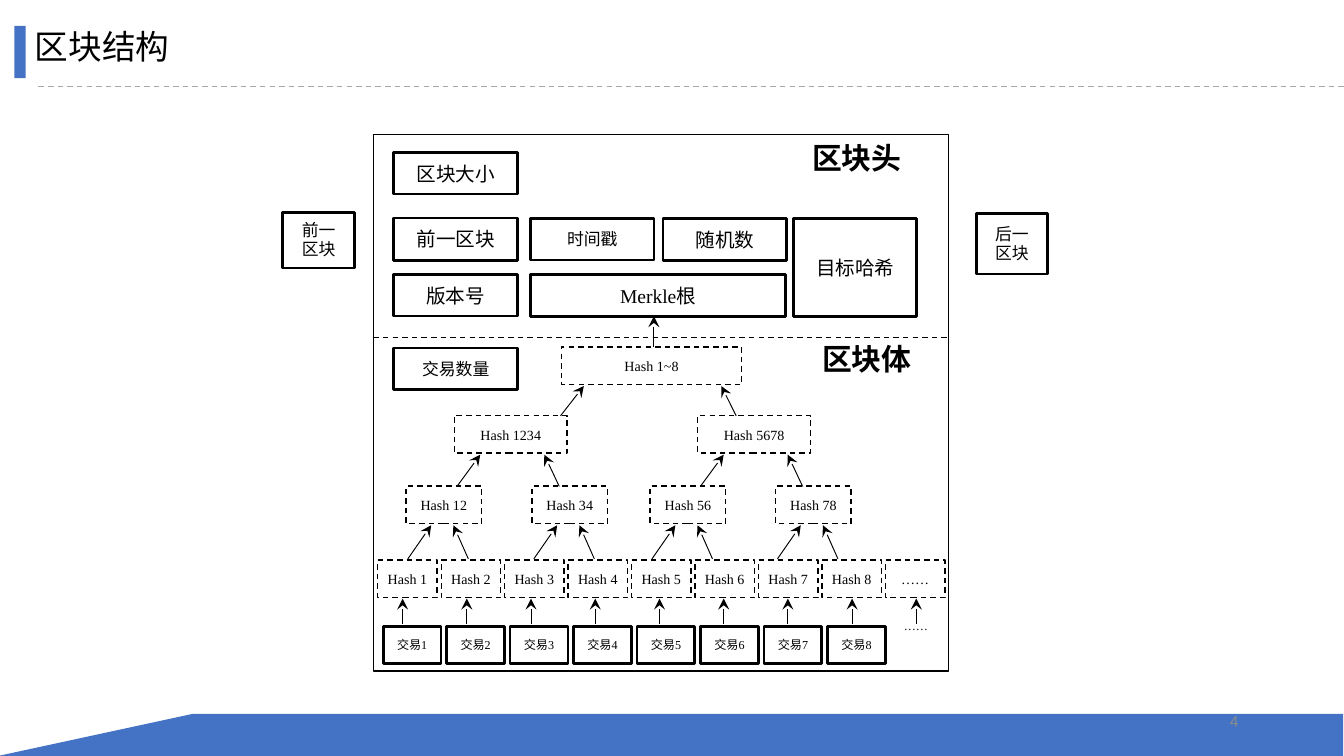
from pptx import Presentation
from pptx.dml.color import RGBColor
from pptx.enum.dml import MSO_LINE
from pptx.enum.shapes import MSO_CONNECTOR, MSO_SHAPE
from pptx.enum.text import MSO_ANCHOR, MSO_AUTO_SIZE, PP_ALIGN
from pptx.oxml.ns import qn
from pptx.util import Pt
from lxml import etree

BLACK = RGBColor(0x00, 0x00, 0x00)
WHITE = RGBColor(0xFF, 0xFF, 0xFF)
BLUE = RGBColor(0x44, 0x72, 0xC4)
GREY = RGBColor(0xA6, 0xA6, 0xA6)
PAGE_GREY = RGBColor(0x8C, 0x8C, 0x8C)
RECTANGLE, STRAIGHT, DASH = MSO_SHAPE.RECTANGLE, MSO_CONNECTOR.STRAIGHT, MSO_LINE.DASH
LEFT, CENTER, RIGHT = PP_ALIGN.LEFT, PP_ALIGN.CENTER, PP_ALIGN.RIGHT
TOP, MIDDLE = MSO_ANCHOR.TOP, MSO_ANCHOR.MIDDLE
SERIF = "Times New Roman"

TITLE = "区块结构"
PAGE_NUMBER = "4"
BLOCK = (200, 72, 308, 287.5)
DIVIDER_Y = 180.9

# text, (left, top, width, height), text size, font, line spacing
FIELDS = [
    ("版本号", (211, 147, 66.2, 22.3), 10.5, SERIF, None),
    ("前一区块", (211, 116.8, 66.2, 22.8), 10.5, SERIF, 12),
    ("时间戳", (284.2, 117, 66.2, 22.3), 9, SERIF, None),
    ("随机数", (355.2, 117.2, 66.2, 22.3), 10.5, SERIF, None),
    ("目标哈希", (425, 117.2, 66.2, 52.5), 10.5, SERIF, None),
    ("Merkle根", (284, 147.2, 137, 22.3), 10.5, SERIF, None),
    ("交易数量", (211, 186.4, 66.2, 22.3), 9, SERIF, None),
    ("区块大小", (211, 81.6, 66.2, 22.3), 10.5, "Calibri", None),
    ("前一\n区块", (151.3, 113.8, 38.8, 29.8), 9, SERIF, 10),
    ("后一\n区块", (523.3, 114.4, 37.7, 32.4), 9, SERIF, 10),
]
HEADINGS = [("区块头", (413.3, 72.7, 91.4, 23.8)), ("区块体", (424, 180.4, 80.6, 23.8))]

HASH_HEIGHT = 20.2
LEAF_COUNT = 8
LEAF_TOP, LEAF_LEFT, LEAF_STEP = 300, 202.4, 34
TRADE_TOP, TRADE_LEFT = 335.8, 205.3
UP_LEFT, UP_STEP = 215.7, 34.4

# Per tree level: top, box width, top of children, start offsets of the left and right arrows
LEVELS = [
    (dict(top=260.4, width=40.5, child_top=299.4, left=1, right=33.4),
     [("Hash 12", 217.5), ("Hash 34", 285), ("Hash 56", 348.3), ("Hash 78", 415.5)]),
    (dict(top=222.6, width=60.5, child_top=260.6, left=1.4, right=56.2),
     [("Hash 1234", 243.4), ("Hash 5678", 373.8)]),
    (dict(top=185.8, width=96.5, child_top=222.8, left=-0.5, right=93.6),
     [("Hash 1~8", 300.8)]),
]


def write(shape, text, size, font=SERIF, color=BLACK, bold=False, align=CENTER,
          anchor=MIDDLE, inset=(0, 0), spacing=None):
    frame = shape.text_frame
    across, down = map(Pt, inset)
    settings = dict(word_wrap=True, auto_size=MSO_AUTO_SIZE.NONE, vertical_anchor=anchor,
                    margin_left=across, margin_right=across, margin_top=down, margin_bottom=down)
    for name, value in settings.items():
        setattr(frame, name, value)
    frame.text = text
    for paragraph in frame.paragraphs:
        paragraph.alignment = align
        if spacing:
            paragraph.line_spacing = Pt(spacing)
        for span in paragraph.runs:
            for name, value in dict(size=Pt(size), name=font, bold=bold).items():
                setattr(span.font, name, value)
            span.font.color.rgb = color


def add_label(page, text, place, size, **style):
    box = page.shapes.add_textbox(*map(Pt, place))
    write(box, text, size, **style)


def add_box(page, place, fill=WHITE, line_width=None, dashed=False):
    box = page.shapes.add_shape(RECTANGLE, *map(Pt, place))
    box.shadow.inherit = False
    box.fill.solid()
    box.fill.fore_color.rgb = fill
    if line_width is None:
        box.line.fill.background()
    else:
        box.line.color.rgb = BLACK
        box.line.width = Pt(line_width)
    if dashed:
        box.line.dash_style = DASH
    return box


def add_hash(page, text, left, top, width):
    box = add_box(page, (left, top, width, HASH_HEIGHT), line_width=0.75, dashed=True)
    write(box, text, 7.5)


def add_line(page, ends, color=BLACK, width=0.75, dashed=False, arrow=False):
    line = page.shapes.add_connector(STRAIGHT, *map(Pt, ends))
    line.line.color.rgb = color
    line.line.width = Pt(width)
    if dashed:
        line.line.dash_style = DASH
    if arrow:
        etree.SubElement(line.line._get_or_add_ln(), qn("a:tailEnd"), type="stealth")
    etree.SubElement(line._element.spPr, qn("a:effectLst"))


def add_arrow(page, *ends):
    add_line(page, ends, width=0.5, arrow=True)


def add_frame(page):
    """Title, its marker and rule, the footer band and the page number."""
    title = page.shapes.title
    title.left, title.top, title.width, title.height = map(Pt, (11.5, 10.1, 685.4, 28.8))
    write(title, TITLE, 18, font="Arial", align=LEFT, anchor=TOP, inset=(7.2, 3.6))
    add_line(page, (20.6, 46.4, 720, 46.4), color=GREY, dashed=True)
    add_box(page, (7.7, 13.9, 6.1, 28), fill=BLUE)
    corners = [(103.5, 382.4), (719.5, 382.4), (719.5, 405), (-1, 405)]
    points = [(Pt(x), Pt(y)) for x, y in corners]
    builder = page.shapes.build_freeform(*points[0])
    builder.add_line_segments(points[1:], close=True)
    band = builder.convert_to_shape()
    band.shadow.inherit = False
    band.fill.solid()
    band.fill.fore_color.rgb = BLUE
    band.line.fill.background()
    add_label(page, PAGE_NUMBER, (508.5, 375.3, 162, 21.6), 9, font="Calibri",
              color=PAGE_GREY, align=RIGHT, inset=(7.2, 3.6))


def add_tree(page):
    for i in range(LEAF_COUNT + 1):
        last = i == LEAF_COUNT
        add_hash(page, "……" if last else f"Hash {i + 1}",
                 LEAF_LEFT + i * LEAF_STEP, LEAF_TOP, 31.8)
        if last:
            add_label(page, "……", (475.2, 325.5, 31, 19.6), 6.5)
        else:
            box = add_box(page, (TRADE_LEFT + i * LEAF_STEP, TRADE_TOP, 31, 19.6),
                          line_width=1.5)
            write(box, f"交易{i + 1}", 6.5)
        x = UP_LEFT + i * UP_STEP
        add_arrow(page, x, 334.2, x, 320.7)
    for level, nodes in LEVELS:
        arrow_end = level["top"] + HASH_HEIGHT + 0.8
        for text, left in nodes:
            add_hash(page, text, left, level["top"], level["width"])
            for side, shift in (("left", 12.5), ("right", -8)):
                x = left + level[side]
                add_arrow(page, x, level["child_top"], x + shift, arrow_end)
    add_arrow(page, 350.3, 185.8, 350.3, 169.4)


def main():
    deck = Presentation()
    deck.slide_width, deck.slide_height = Pt(720), Pt(405)
    page = deck.slides.add_slide(deck.slide_layouts[5])
    add_frame(page)
    add_box(page, BLOCK, line_width=0.75)
    for text, place, size, font, spacing in FIELDS:
        write(add_box(page, place, line_width=1.5), text, size, font=font, spacing=spacing)
    for text, place in HEADINGS:
        add_label(page, text, place, 16, bold=True)
    add_line(page, (BLOCK[0], DIVIDER_Y, BLOCK[0] + BLOCK[2], DIVIDER_Y), dashed=True)
    add_tree(page)
    deck.save("out.pptx")


if __name__ == "__main__":
    main()
